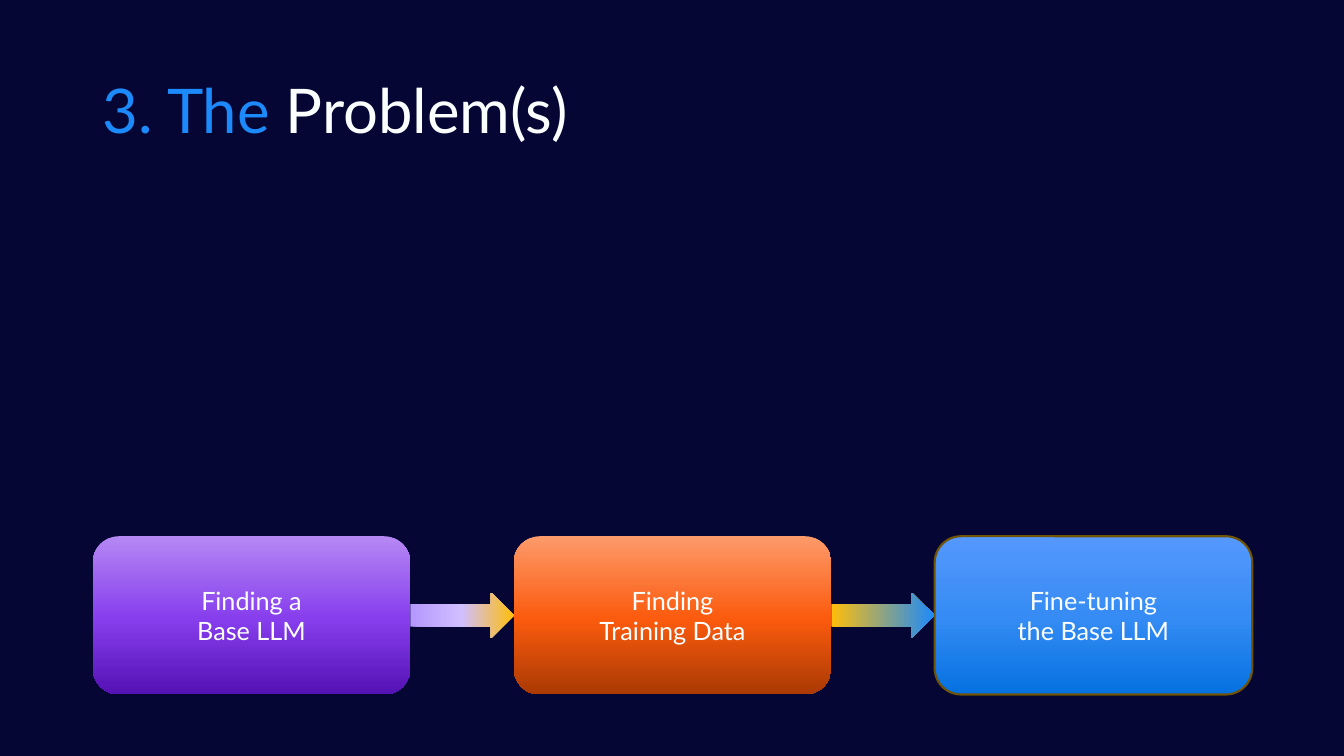
from dataclasses import dataclass

from lxml.etree import SubElement
from pptx import Presentation
from pptx.dml.color import RGBColor
from pptx.enum.shapes import MSO_SHAPE
from pptx.enum.text import MSO_ANCHOR, MSO_AUTO_SIZE, PP_ALIGN
from pptx.oxml.ns import qn
from pptx.shapes.autoshape import Shape
from pptx.slide import Slide
from pptx.util import Inches, Pt

FONT = "Lato"
WHITE = "FCFFFF"
BLUE = "1C8AFB"
LEFT, CONTENT_W = 0.92, 11.5
BOX_TOP, BOX_W, BOX_H = 5.32, 3.15, 1.57
ARROW_H = 0.45
DOWN, RIGHT = 270, 0

Stops = list[tuple[int, str]]


@dataclass
class Step:
    lines: list[str]
    stops: Stops
    outline: str | None = None


STEPS = [
    Step(["Finding a", "Base LLM"], [(0, "B588F4"), (52, "873EED"), (100, "5411B3")]),
    Step(["Finding", "Training Data"], [(0, "FD9A6A"), (52, "FB5B0E"), (100, "AA3903")]),
    Step(["Fine-tuning", "the Base LLM"], [(0, "5598FD"), (50, "368CF4"), (100, "0571E0")], "705305"),
]
ARROWS: list[Stops] = [
    [(0, "B497FF"), (50, "D0BFFF"), (100, "FFBE0B")],
    [(0, "FFBE0B"), (100, BLUE)],
]


def rgb(color: str) -> RGBColor:
    return RGBColor.from_string(color)


def add_text(p, text: str, *, size: float, color: str = WHITE) -> None:
    r = p.add_run()
    r.text = text
    r.font.name = FONT
    r.font.size = Pt(size)
    r.font.color.rgb = rgb(color)


def set_gradient(sp: Shape, stops: Stops, angle: int) -> None:
    sp.fill.gradient()
    sp.fill.gradient_angle = angle
    gs_list = sp._element.spPr.find(qn("a:gradFill")).find(qn("a:gsLst"))
    for gs in list(gs_list):
        gs_list.remove(gs)
    for position, color in stops:
        gs = SubElement(gs_list, qn("a:gs"), pos=str(position * 1000))
        SubElement(gs, qn("a:srgbClr"), val=color)


def add_gradient_shape(s: Slide, kind: MSO_SHAPE, left: float, top: float,
                       width: float, height: float, stops: Stops, angle: int) -> Shape:
    sp = s.shapes.add_shape(kind, Inches(left), Inches(top), Inches(width), Inches(height))
    sp.shadow.inherit = False
    sp.line.fill.background()
    set_gradient(sp, stops, angle)
    return sp


def add_step(s: Slide, step: Step, left: float) -> None:
    sp = add_gradient_shape(s, MSO_SHAPE.ROUNDED_RECTANGLE, left, BOX_TOP,
                            BOX_W, BOX_H, step.stops, DOWN)
    if step.outline:
        sp.line.color.rgb = rgb(step.outline)
        sp.line.width = Pt(1.5)
    tf = sp.text_frame
    tf.word_wrap = True
    tf.vertical_anchor = MSO_ANCHOR.MIDDLE
    for i, line in enumerate(step.lines):
        p = tf.add_paragraph() if i else tf.paragraphs[0]
        p.alignment = PP_ALIGN.CENTER
        add_text(p, line, size=18)


def add_title(s: Slide) -> None:
    sp = s.shapes.title
    sp.left, sp.top = Inches(LEFT), Inches(0.4)
    sp.width, sp.height = Inches(CONTENT_W), Inches(1.45)
    tf = sp.text_frame
    tf.auto_size = MSO_AUTO_SIZE.NONE
    tf.vertical_anchor = MSO_ANCHOR.MIDDLE
    p = tf.paragraphs[0]
    p.alignment = PP_ALIGN.LEFT
    p.line_spacing = 0.9
    add_text(p, "3. The ", size=44, color=BLUE)
    add_text(p, "Problem(s)", size=44)


def main() -> None:
    prs = Presentation()
    prs.slide_width, prs.slide_height = Inches(13.33), Inches(7.5)
    s = prs.slides.add_slide(prs.slide_layouts[5])
    s.background.fill.solid()
    s.background.fill.fore_color.rgb = rgb("050634")
    add_title(s)

    pitch = (CONTENT_W - BOX_W) / (len(STEPS) - 1)
    for i, step in enumerate(STEPS):
        add_step(s, step, LEFT + i * pitch)
    arrow_top = BOX_TOP + (BOX_H - ARROW_H) / 2
    for i, stops in enumerate(ARROWS):
        add_gradient_shape(s, MSO_SHAPE.RIGHT_ARROW, LEFT + BOX_W + i * pitch, arrow_top,
                           pitch - BOX_W, ARROW_H, stops, RIGHT)
    prs.save("out.pptx")


if __name__ == "__main__":
    main()
